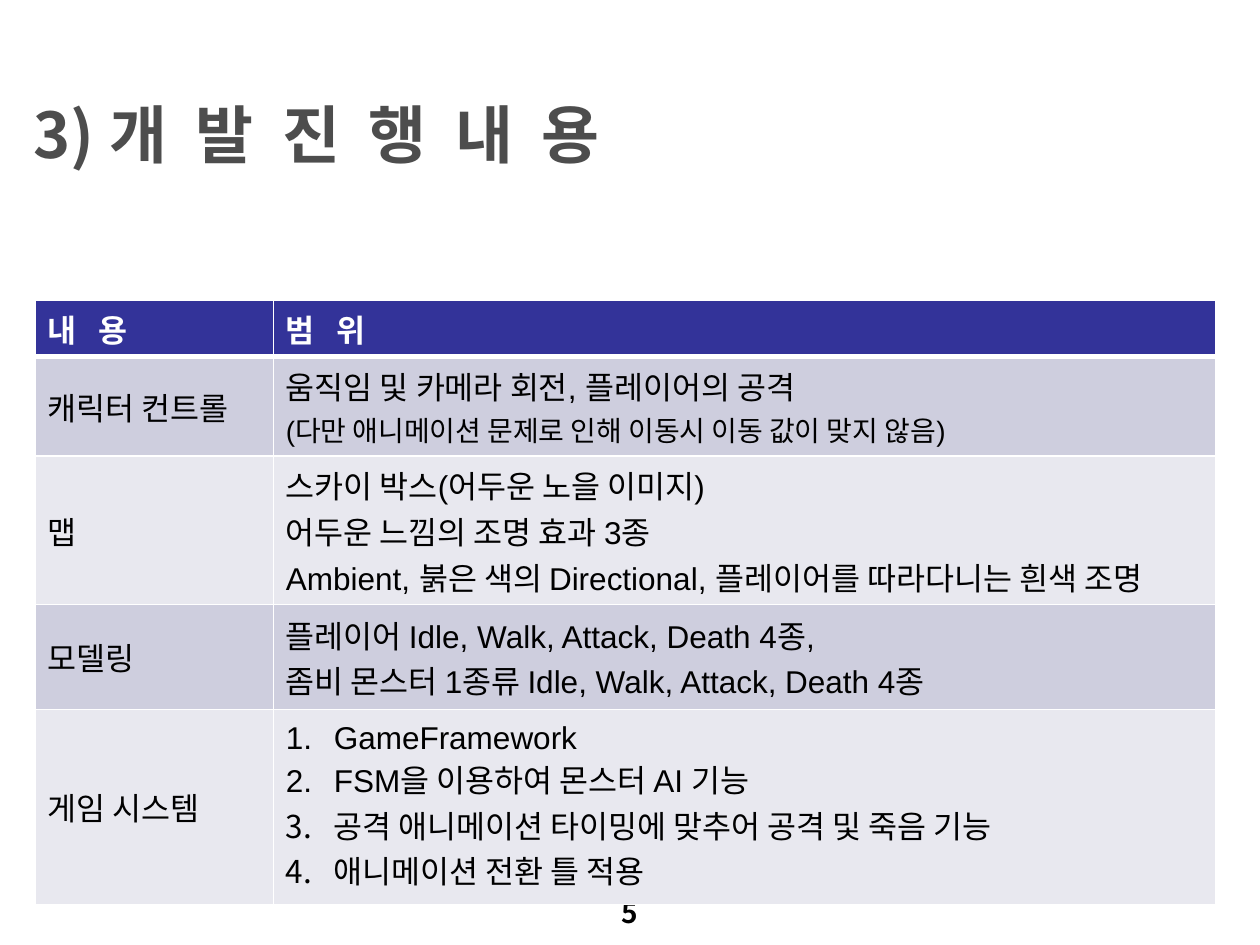
from dataclasses import dataclass

from lxml.etree import SubElement
from pptx import Presentation
from pptx.dml.color import RGBColor
from pptx.enum.text import MSO_ANCHOR, PP_ALIGN
from pptx.oxml.ns import qn
from pptx.util import Inches, Pt


@dataclass(frozen=True)
class Theme:
    latin: str = "Arial"
    korean: str = "Noto Sans CJK KR"
    title: str = "4D4D4D"
    header: str = "333399"
    bands: tuple = ("CECEDE", "E8E8EF")
    light: str = "FFFFFF"
    dark: str = "000000"
    title_size: int = 36
    body_size: int = 18
    small_size: int = 16


theme = Theme()


def style_paragraph(paragraph, size, color, bold=False, latin=theme.latin):
    """Set the font for both scripts, without pair kerning."""
    font = paragraph.font
    font.size = Pt(size)
    font.bold = bold
    font.color.rgb = RGBColor.from_string(color)
    font.name = latin
    font._element.set("kern", "0")
    SubElement(font._element, qn("a:ea"), typeface=theme.korean)


def add_borders(cell, bottom_width):
    properties = cell._tc.get_or_add_tcPr()
    for index, side in enumerate(("lnL", "lnR", "lnT", "lnB")):
        width = Pt(bottom_width if side == "lnB" else 1)
        line = properties.makeelement(qn(f"a:{side}"), {"w": str(width)})
        solid_fill = SubElement(line, qn("a:solidFill"))
        SubElement(solid_fill, qn("a:srgbClr"), val=theme.light)
        properties.insert(index, line)


presentation = Presentation()
presentation.slide_width = Inches(10)
presentation.slide_height = Inches(7.5)
slide = presentation.slides.add_slide(presentation.slide_layouts[6])

# Title and page number
text_boxes = [
    ("3) 개  발  진  행  내  용", (0.17, 0.81, 9.17, 0.5), theme.title_size,
     theme.title, PP_ALIGN.LEFT, MSO_ANCHOR.MIDDLE),
    ("5", (3.83, 7.06, 2.33, 0.32), theme.small_size,
     theme.dark, PP_ALIGN.CENTER, MSO_ANCHOR.TOP),
]
for text, box, size, color, alignment, anchor in text_boxes:
    frame = slide.shapes.add_textbox(*map(Inches, box)).text_frame
    frame.word_wrap = True
    frame.vertical_anchor = anchor
    paragraph = frame.paragraphs[0]
    paragraph.text = text
    paragraph.alignment = alignment
    style_paragraph(paragraph, size, color, bold=True, latin=theme.korean)

# Progress table
rows = [
    (0.45, "내   용", ["범   위"]),
    (0.79, "캐릭터 컨트롤", [
        "움직임 및 카메라 회전, 플레이어의 공격",
        "(다만 애니메이션 문제로 인해 이동시 이동 값이 맞지 않음)",
    ]),
    (1.18, "맵", [
        "스카이 박스(어두운 노을 이미지)",
        "어두운 느낌의 조명 효과 3종",
        "Ambient, 붉은 색의 Directional, 플레이어를 따라다니는 흰색 조명",
    ]),
    (0.83, "모델링", [
        "플레이어 Idle, Walk, Attack, Death 4종,",
        "좀비 몬스터 1종류 Idle, Walk, Attack, Death 4종",
    ]),
    (1.55, "게임 시스템", [
        "GameFramework",
        "FSM을 이용하여 몬스터 AI 기능",
        "공격 애니메이션 타이밍에 맞추어 공격 및 죽음 기능",
        "애니메이션 전환 틀 적용",
    ]),
]
table = slide.shapes.add_table(
    len(rows), 2, Inches(0.28), Inches(2.38), Inches(9.37), Inches(4.8)
).table
for column, width in zip(table.columns, (1.89, 7.48)):
    column.width = Inches(width)

for row_index, (height, topic, scope) in enumerate(rows):
    is_header = row_index == 0
    is_numbered = row_index == len(rows) - 1
    table.rows[row_index].height = Inches(height)
    fill_color = theme.header if is_header else theme.bands[(row_index - 1) % 2]
    for column_index, lines in enumerate(([topic], scope)):
        cell = table.cell(row_index, column_index)
        cell.fill.solid()
        cell.fill.fore_color.rgb = RGBColor.from_string(fill_color)
        add_borders(cell, bottom_width=3 if is_header else 1)
        cell.vertical_anchor = MSO_ANCHOR.MIDDLE
        cell.text = "\n".join(lines)
        for line, paragraph in zip(lines, cell.text_frame.paragraphs):
            is_remark = line.startswith("(")
            style_paragraph(
                paragraph,
                theme.small_size if is_remark else theme.body_size,
                theme.light if is_header else theme.dark,
                bold=is_header,
            )
            if is_numbered and column_index == 1:
                properties = paragraph._p.get_or_add_pPr()
                properties.set("marL", str(Inches(0.38)))
                properties.set("indent", str(-Inches(0.38)))
                numbering = properties.makeelement(
                    qn("a:buAutoNum"), {"type": "arabicPeriod"}
                )
                properties.insert(0, numbering)

presentation.save("out.pptx")
